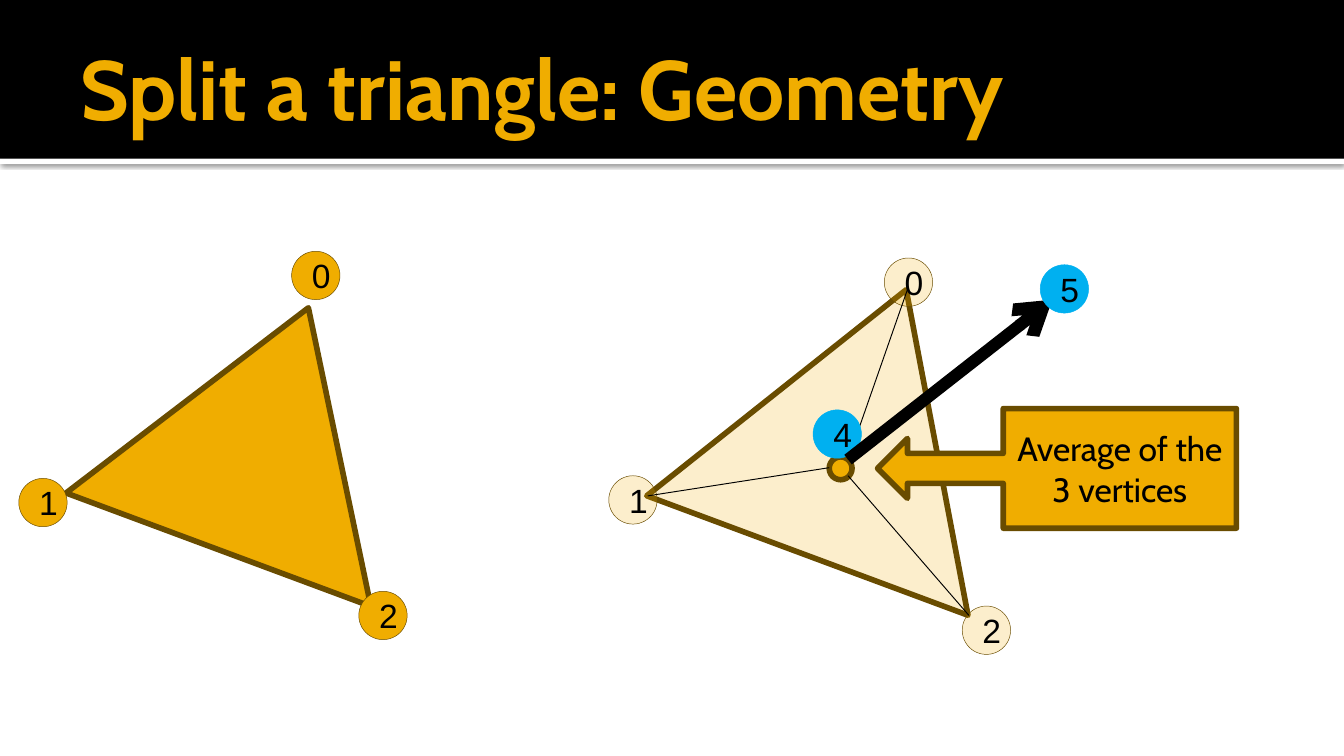
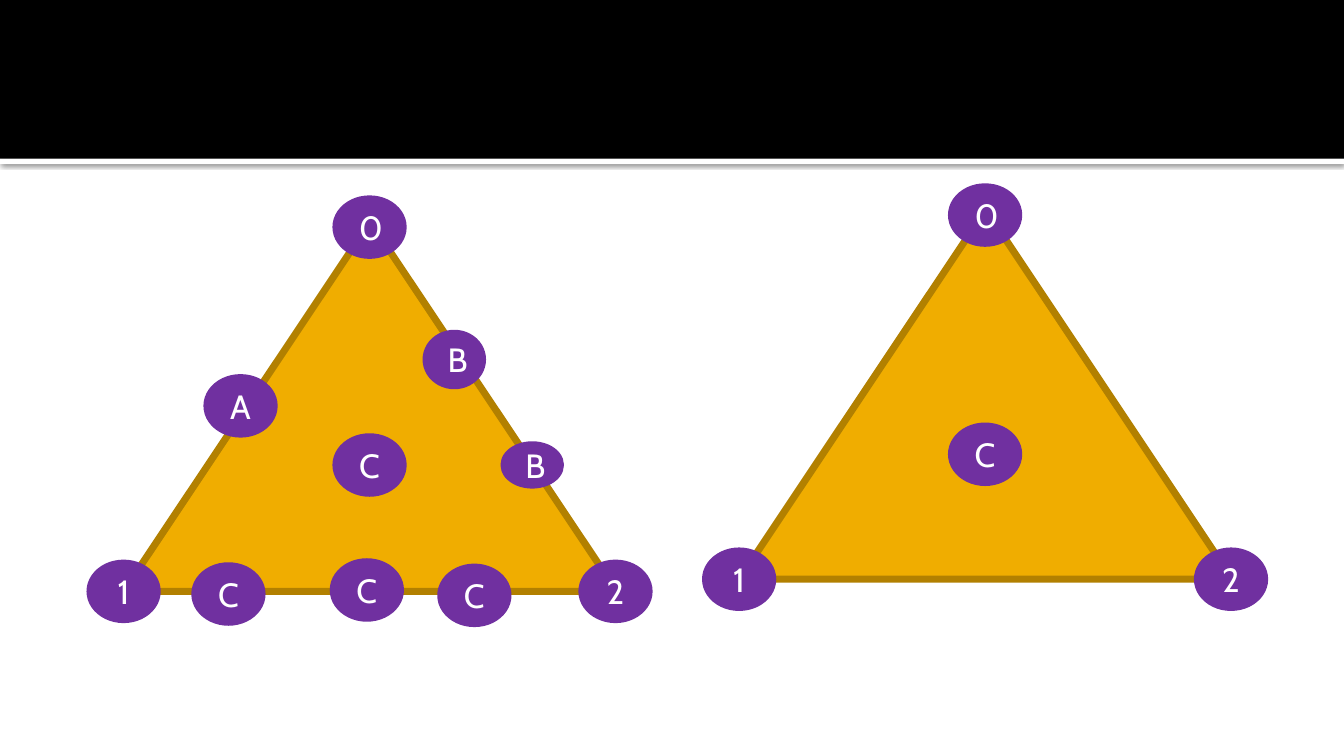
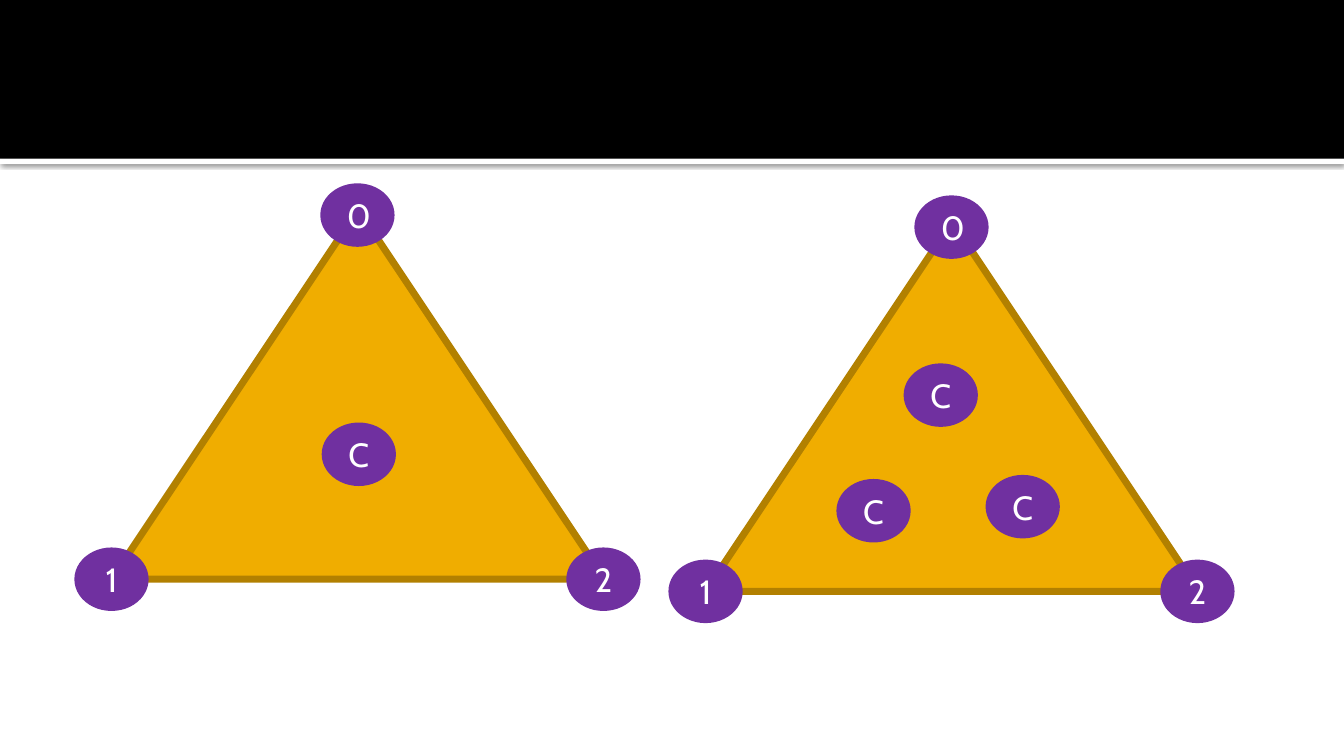
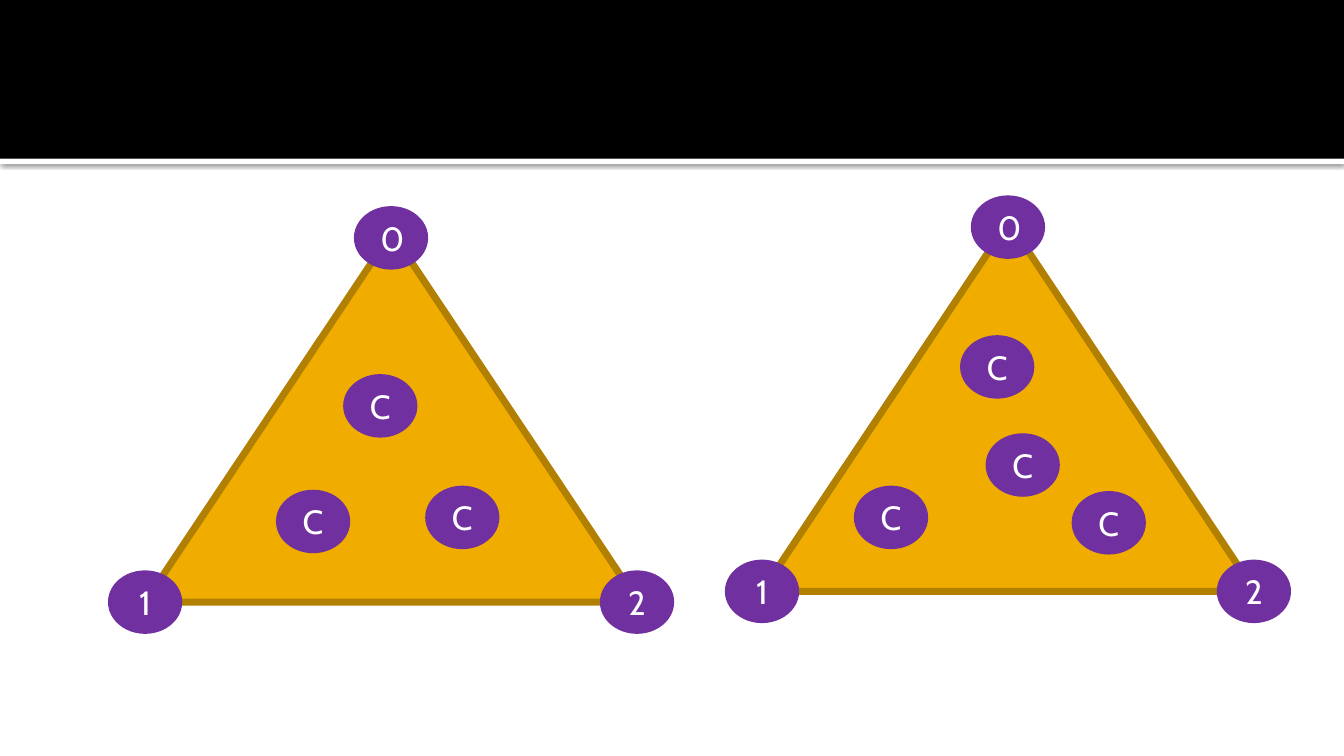
from lxml import etree
from pptx import Presentation
from pptx import util as u
from pptx.dml.color import RGBColor
from pptx.enum import shapes, text
from pptx.oxml import ns

GOLD, BROWN, RIM = "F0AD00", "694C00", "B28000"
BLACK, WHITE, PLUM, SKY = "000000", "FFFFFF", "7030A0", "00B0F0"
KIND = shapes.MSO_SHAPE
COLS, ROWS = 100, 56.25


def color(code):
    return RGBColor.from_string(code)


def child(node, name, **attrs):
    part = etree.SubElement(node, ns.qn("a:" + name))
    for key, value in attrs.items():
        part.set(key, str(value))
    return part


class Deck:
    def __init__(self):
        self.show = Presentation()
        self.show.slide_width = u.Inches(10)
        self.show.slide_height = u.Inches(5.625)
        self.cell = self.show.slide_width / COLS
        self.slide = None

    def span(self, *cells):
        return [u.Emu(round(n * self.cell)) for n in cells]

    def page(self):
        self.slide = self.show.slides.add_slide(self.show.slide_layouts[6])
        strip = self.shape(KIND.RECTANGLE, (0, 11.8, COLS, 0.4), WHITE)
        glow = child(strip.element.xpath(".//a:effectLst")[0], "outerShdw",
                     blurRad=u.Pt(2.5), dist=u.Pt(0.8), dir=90 * 60000,
                     algn="tl", rotWithShape=0)
        child(child(glow, "srgbClr", val=BLACK), "alpha", val=60000)
        self.shape(KIND.RECTANGLE, (0, 0, COLS, 11.8), BLACK)

    def shape(self, kind, box, fill, edge=None, width=3, turn=0, alpha=100):
        item = self.slide.shapes.add_shape(kind, *self.span(*box))
        item.shadow.inherit = False
        item.rotation = turn
        item.fill.solid()
        item.fill.fore_color.rgb = color(fill)
        if alpha < 100:
            tone = item.element.xpath("./p:spPr/a:solidFill/a:srgbClr")[0]
            child(tone, "alpha", val=alpha * 1000)
        if edge:
            item.line.color.rgb = color(edge)
            item.line.width = u.Pt(width)
        else:
            item.line.fill.background()
        return item

    def words(self, item, words, ink, face="Cabin", size=18, bold=False,
              align=text.PP_ALIGN.CENTER):
        frame = item.text_frame
        frame.word_wrap = True
        frame.vertical_anchor = text.MSO_ANCHOR.MIDDLE
        para = frame.paragraphs[0]
        para.alignment = align
        run = para.add_run()
        run.text = words
        run.font.name = face
        run.font.size = u.Pt(size)
        run.font.bold = bold
        run.font.color.rgb = color(ink)
        return frame

    def title(self, words):
        box = self.slide.shapes.add_textbox(*self.span(5, 1.3, 90, 10.3))
        frame = self.words(box, words, GOLD, size=45, bold=True,
                           align=text.PP_ALIGN.LEFT)
        frame.margin_right = u.Inches(0.05)

    def line(self, start, end, width, arrow=False):
        item = self.slide.shapes.add_connector(
            shapes.MSO_CONNECTOR.STRAIGHT, *self.span(*start, *end))
        item.line.color.rgb = color(BLACK)
        item.line.width = u.Pt(width)
        if arrow:
            child(item.element.xpath(".//a:ln")[0], "tailEnd", type="arrow")
        child(item.element.spPr, "effectLst")

    def disc(self, label, left, top, fill=GOLD, edge=BROWN, alpha=100):
        item = self.shape(KIND.OVAL, (left, top, 3.6, 3.6), fill, edge,
                          0.25, alpha=alpha)
        self.words(item, label, BLACK, "Arial")

    def node(self, label, left, top, wide=5, high=4.2):
        item = self.shape(KIND.OVAL, (left, top, wide, high), PLUM, PLUM, 3.78)
        self.words(item, label, WHITE)

    def mesh(self, left, top, nodes):
        self.shape(KIND.ISOSCELES_TRIANGLE, (left, top, 36.7, 27.5),
                   GOLD, RIM, 3.78)
        for label, right, down in (("0", 15.8, -1.7), ("1", -2.5, 25.4),
                                   ("2", 34.1, 25.4)):
            self.node(label, left + right, top + down)
        for node in nodes:
            self.node(*node)

    def facet(self, box, spots, alpha=100):
        self.shape(KIND.ISOSCELES_TRIANGLE, box, GOLD, BROWN,
                   turn=20.4, alpha=alpha)
        for count, spot in enumerate(spots):
            self.disc(str(count), *spot, alpha=alpha)

    def split(self):
        self.page()
        self.title("Split a triangle: Geometry")
        self.facet((7.5, 22.3, 24.2, 19.2),
                   [(21.7, 18.7), (1.4, 35.6), (26.7, 44)])
        self.facet((51, 20.9, 25.5, 21.1),
                   [(65.8, 19.2), (45.3, 35.4), (71.6, 45.1)], alpha=20)
        self.shape(KIND.OVAL, (61.7, 34, 1.7, 1.7), GOLD, BROWN)
        for start, end in (((48.2, 36.9), (61.7, 34.8)),
                           ((67.5, 21.6), (63.1, 34.2)),
                           ((63.1, 35.4), (72.1, 45.8))):
            self.line(start, end, 0.5)
        note = self.shape(KIND.LEFT_ARROW_CALLOUT, (65.3, 30.4, 26.7, 8.9),
                          GOLD, BROWN)
        self.words(note, "Average of the 3 vertices", BLACK)
        self.disc("4", 60.5, 30.5, SKY, SKY)
        self.line((63.1, 34.2), (78.3, 22.3), 6.5, arrow=True)
        self.disc("5", 77.4, 19.7, SKY, SKY)

    def pair(self, *sides):
        self.page()
        for side in sides:
            self.mesh(*side)


def main():
    deck = Deck()
    deck.split()
    deck.pair(
        (9.2, 16.5, [("A", 15.4, 28.1), ("B", 31.7, 24.8, 4.2, 3.9),
                     ("C", 24.8, 41.8), ("B", 37.5, 33.1, 4.2, 3),
                     ("C", 14.5, 42.1), ("C", 32.8, 42.2),
                     ("C", 25, 32.5)]),
        (55, 15.6, [("C", 70.8, 31.7)]))
    deck.pair(
        (8.3, 15.6, [("C", 24.2, 31.7)]),
        (52.5, 16.5, [("C", 67.5, 27.3), ("C", 62.5, 35.9),
                      ("C", 73.6, 35.6)]))
    deck.pair(
        (10.8, 17.3, [("C", 25.8, 28.1), ("C", 20.8, 36.7),
                      ("C", 31.9, 36.4)]),
        (56.7, 16.5, [("C", 71.7, 25.2), ("C", 63.8, 36.4),
                      ("C", 80, 36.8), ("C", 73.6, 32.5)]))
    deck.show.save("out.pptx")


if __name__ == "__main__":
    main()
